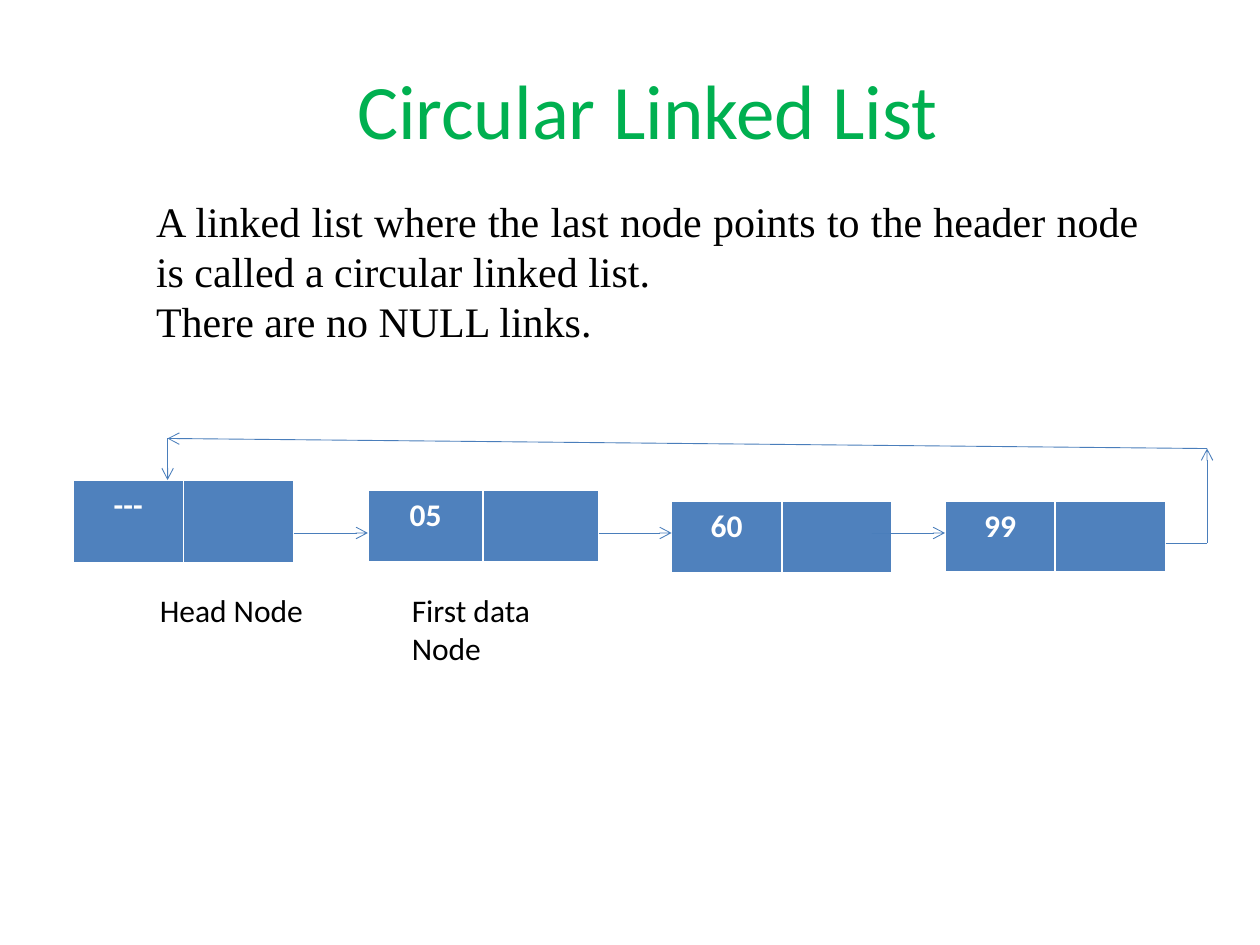
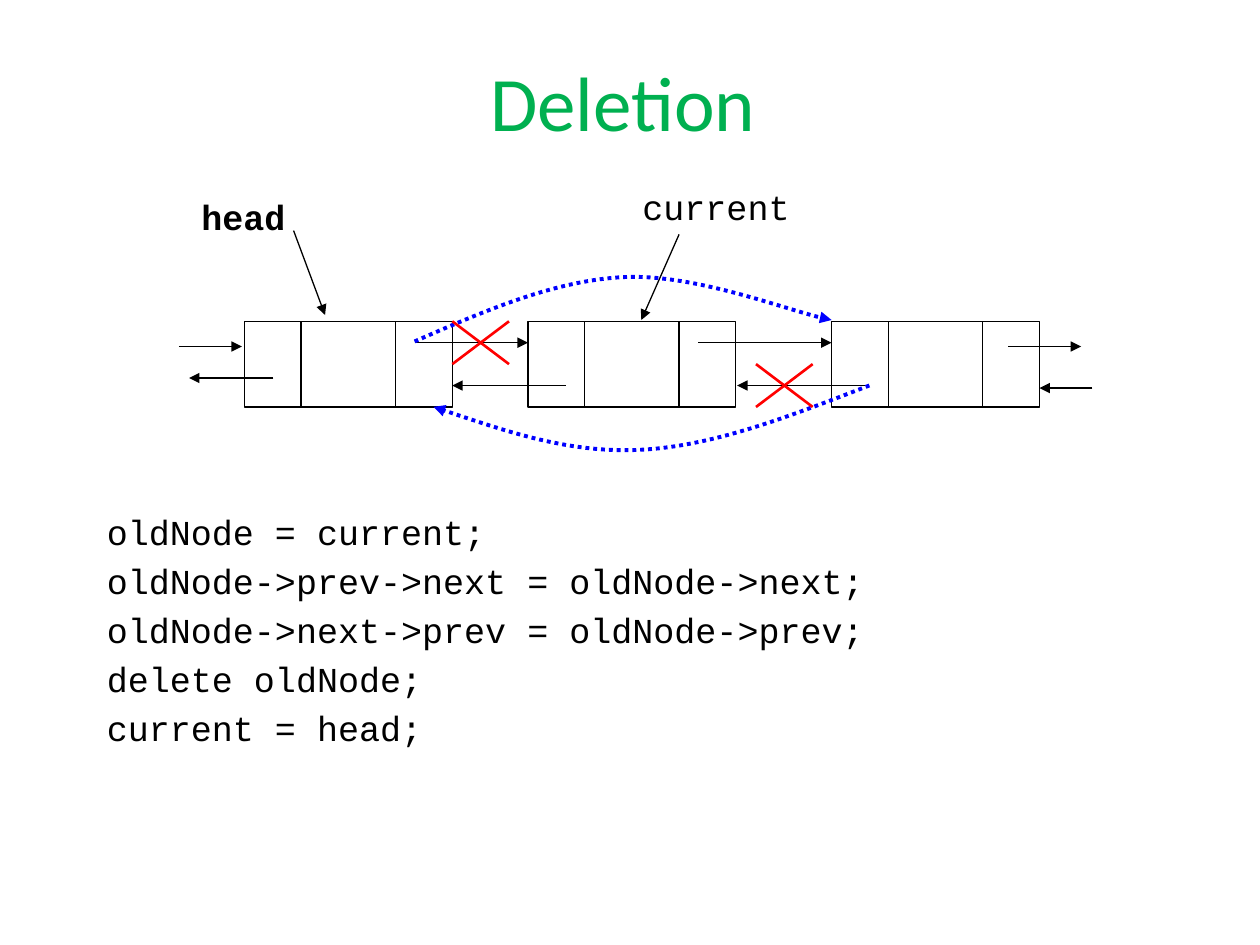
"""Build two slides on circular linked lists and doubly linked deletion."""
from dataclasses import dataclass

from lxml import etree
from pptx import Presentation
from pptx.dml.color import RGBColor
from pptx.enum.dml import MSO_LINE
from pptx.enum.shapes import MSO_CONNECTOR, MSO_SHAPE
from pptx.enum.text import MSO_ANCHOR, PP_ALIGN
from pptx.oxml.ns import qn
from pptx.util import Inches, Pt

GREEN = RGBColor(0x00, 0xB0, 0x50)
BLACK = RGBColor(0x00, 0x00, 0x00)
WHITE = RGBColor(0xFF, 0xFF, 0xFF)
NODE_BLUE = RGBColor(0x4F, 0x81, 0xBD)
LINK_BLUE = RGBColor(0x4A, 0x7E, 0xBB)
NEW_LINK = RGBColor(0x00, 0x00, 0xFF)
RED = RGBColor(0xFF, 0x00, 0x00)
SANS, SERIF, MONO = "Calibri", "Times New Roman", "Courier New"
LEFT, CENTER, JUSTIFY = PP_ALIGN.LEFT, PP_ALIGN.CENTER, PP_ALIGN.JUSTIFY
TOP, MIDDLE = MSO_ANCHOR.TOP, MSO_ANCHOR.MIDDLE
STRAIGHT, RECTANGLE, DOTTED = MSO_CONNECTOR.STRAIGHT, MSO_SHAPE.RECTANGLE, MSO_LINE.ROUND_DOT

NODE_TOP, NODE_WIDTH, NODE_HEIGHT = 2.55, 1.65, 0.68
NODE_BOTTOM = NODE_TOP + NODE_HEIGHT
NODE_DIVIDERS = (0.45, 1.2)
NEXT_Y, PREV_Y = 2.72, 3.06
CROSS_WIDTH, CROSS_HEIGHT = 0.45, 0.34


@dataclass
class ListNode:
    """A two-cell list node: value and link."""
    value: str
    left: float
    top: float
    width: float
    height: float


@dataclass
class Link:
    """A straight line with an optional arrowhead at its end."""
    x1: float
    y1: float
    x2: float
    y2: float
    head: str = "triangle"


LIST_NODES = (
    ListNode("---", 0.58, 3.81, 1.75, 0.67),
    ListNode("05", 2.92, 3.89, 1.83, 0.58),
    ListNode("60", 5.33, 3.98, 1.75, 0.58),
    ListNode("99", 7.5, 3.98, 1.75, 0.57),
)
CIRCULAR_LINKS = (
    Link(2.33, 4.23, 2.92, 4.23, "arrow"),
    Link(4.75, 4.23, 5.33, 4.23, "arrow"),
    Link(6.92, 4.23, 7.5, 4.23, "arrow"),
    Link(9.25, 4.31, 9.58, 4.31, ""),
    Link(9.58, 4.31, 9.58, 3.56, "arrow"),
    Link(9.58, 3.56, 1.33, 3.48, "arrow"),
    Link(1.33, 3.48, 1.33, 3.81, "arrow"),
)
DOUBLE_NODE_LEFTS = (1.94, 4.19, 6.6)
DOUBLE_LINKS = (
    Link(5.39, 1.86, 5.09, 2.54),
    Link(2.33, 1.83, 2.58, 2.5),
    Link(3.29, NEXT_Y, 4.19, NEXT_Y),
    Link(5.54, NEXT_Y, 6.6, NEXT_Y),
    Link(4.49, PREV_Y, 3.59, PREV_Y),
    Link(6.9, PREV_Y, 5.85, PREV_Y),
    Link(1.42, 2.75, 1.92, 2.75),
    Link(2.17, 3, 1.5, 3),
    Link(8.67, 3.08, 8.25, 3.08),
    Link(8, 2.75, 8.58, 2.75),
)
CROSSES = ((3.59, 2.55), (6.0, 2.89))
BYPASSES = (
    ((3.29, 2.71), (3.84, 2.47), (4.39, 2.23), (4.94, 2.2),
     (5.49, 2.17), (6.32, 2.49), (6.6, 2.54)),
    ((6.9, 3.06), (6.28, 3.3), (5.67, 3.54), (5.09, 3.57),
     (4.52, 3.6), (3.98, 3.41), (3.44, 3.23)),
)
DEFINITION = (
    "A linked list where the last node points to the header node is called a circular linked list.",
    "There are no NULL links.",
)
DELETION_CODE = (
    "oldNode = current;",
    "oldNode->prev->next = oldNode->next;",
    "oldNode->next->prev = oldNode->prev;",
    "delete oldNode;",
    "current = head;",
)


def write_text(tf, *lines: str, size: float = 18, font: str = SANS, color: RGBColor = BLACK,
               bold: bool = False, align=LEFT, anchor=TOP, before: float = 0) -> None:
    """Fill a text frame with one paragraph per line."""
    tf.word_wrap = True
    tf.vertical_anchor = anchor
    for i, line in enumerate(lines):
        p = tf.paragraphs[0] if i == 0 else tf.add_paragraph()
        p.alignment = align
        if i and before:
            p.space_before = Pt(before)
        r = p.add_run()
        r.text = line
        r.font.size, r.font.name, r.font.bold = Pt(size), font, bold
        r.font.color.rgb = color


def add_text(slide, box: tuple[float, float, float, float], *lines: str, **style) -> None:
    """Add a text box at left, top, width, height."""
    tb = slide.shapes.add_textbox(*(Inches(v) for v in box))
    write_text(tb.text_frame, *lines, **style)


def add_title(slide, box: tuple[float, float, float, float], title: str) -> None:
    """Add the green slide title."""
    add_text(slide, box, title, size=44, color=GREEN, align=CENTER, anchor=MIDDLE)


def style_line(sp, color: RGBColor, width: float, head: str = "", dash=None) -> None:
    """Set a line's colour, width, dash and end arrowhead."""
    sp.line.color.rgb = color
    sp.line.width = Pt(width)
    if dash is not None:
        sp.line.dash_style = dash
    if head:
        ln = sp.line._get_or_add_ln()
        etree.SubElement(ln, qn("a:tailEnd"), type=head)


def add_link(slide, link: Link, color: RGBColor = BLACK, width: float = 0.75) -> None:
    """Draw a straight link."""
    cx = slide.shapes.add_connector(
        STRAIGHT, *(Inches(v) for v in (link.x1, link.y1, link.x2, link.y2)))
    style_line(cx, color, width, link.head)
    etree.SubElement(cx._element.spPr, qn("a:effectLst"))


def add_bypass(slide, points: tuple[tuple[float, float], ...]) -> None:
    """Draw a dotted Bézier arrow through a start and triples of control points."""
    start, *rest = [(Inches(x), Inches(y)) for x, y in points]
    builder = slide.shapes.build_freeform(*start)
    builder.add_line_segments(rest, close=False)
    sp = builder.convert_to_shape()
    sp.shadow.inherit = False
    sp.fill.background()
    style_line(sp, NEW_LINK, 2.25, "triangle", DOTTED)
    segments = list(sp._element.iter(qn("a:lnTo")))
    outline = segments[0].getparent()
    for i in range(0, len(segments), 3):
        curve = etree.SubElement(outline, qn("a:cubicBezTo"))
        for segment in segments[i:i + 3]:
            curve.append(segment[0])
            outline.remove(segment)


def add_border(cell, side: str, width: float) -> None:
    """Give one side of a table cell a white border."""
    ln = etree.SubElement(cell._tc.get_or_add_tcPr(), qn(f"a:ln{side}"), w=str(Pt(width)))
    fill = etree.SubElement(ln, qn("a:solidFill"))
    etree.SubElement(fill, qn("a:srgbClr"), val=str(WHITE))


def add_list_node(slide, node: ListNode) -> None:
    """Draw a list node as a one-row table."""
    box = (Inches(v) for v in (node.left, node.top, node.width, node.height))
    table = slide.shapes.add_table(1, 2, *box).table
    table.first_row = table.horz_banding = False
    for cell, text in zip(table.rows[0].cells, (node.value, "")):
        for side, width in (("L", 1), ("R", 1), ("T", 1), ("B", 3)):
            add_border(cell, side, width)
        cell.fill.solid()
        cell.fill.fore_color.rgb = NODE_BLUE
        if text:
            write_text(cell.text_frame, text, color=WHITE, bold=True, align=CENTER)


def add_double_node(slide, left: float) -> None:
    """Draw a doubly linked node with its two dividers."""
    sp = slide.shapes.add_shape(RECTANGLE, Inches(left), Inches(NODE_TOP),
                                Inches(NODE_WIDTH), Inches(NODE_HEIGHT))
    sp.shadow.inherit = False
    sp.fill.solid()
    sp.fill.fore_color.rgb = WHITE
    style_line(sp, BLACK, 0.75)
    for offset in NODE_DIVIDERS:
        add_link(slide, Link(left + offset, NODE_TOP, left + offset, NODE_BOTTOM, ""))


def add_cross(slide, left: float, top: float) -> None:
    """Strike out a removed link."""
    right, bottom = left + CROSS_WIDTH, top + CROSS_HEIGHT
    add_link(slide, Link(left, top, right, bottom, ""), RED, 1.5)
    add_link(slide, Link(right, top, left, bottom, ""), RED, 1.5)


def build_circular_list(slide) -> None:
    """Build the circular linked list slide."""
    add_title(slide, (2.43, 0.47, 5.42, 0.78), "Circular Linked List")
    add_text(slide, (1.14, 1.5, 8, 1.3), *DEFINITION, size=24, font=SERIF, align=JUSTIFY)
    for node in LIST_NODES:
        add_list_node(slide, node)
    for link in CIRCULAR_LINKS:
        add_link(slide, link, LINK_BLUE, 0.5)
    add_text(slide, (1.17, 4.64, 1.5, 0.4), "Head Node")
    add_text(slide, (3.17, 4.64, 1.5, 0.7), "First data Node")


def build_deletion(slide) -> None:
    """Build the deletion slide."""
    add_title(slide, (2.28, 0.45, 5.33, 0.69), "Deletion")
    add_text(slide, (0.75, 4, 8.5, 2.67), *DELETION_CODE, size=20, font=MONO, before=4)
    add_text(slide, (5, 1.42, 1.42, 0.51), "current", size=20, font=MONO)
    add_text(slide, (1.5, 1.5, 1.55, 0.51), "head", size=20, font=MONO, bold=True)
    for left in DOUBLE_NODE_LEFTS:
        add_double_node(slide, left)
    for link in DOUBLE_LINKS:
        add_link(slide, link)
    for points in BYPASSES:
        add_bypass(slide, points)
    for left, top in CROSSES:
        add_cross(slide, left, top)


def main() -> None:
    """Create and save the presentation."""
    prs = Presentation()
    prs.slide_width, prs.slide_height = Inches(10), Inches(7.5)
    blank = prs.slide_layouts[6]
    for build in (build_circular_list, build_deletion):
        build(prs.slides.add_slide(blank))
    prs.save("out.pptx")


if __name__ == "__main__":
    main()
